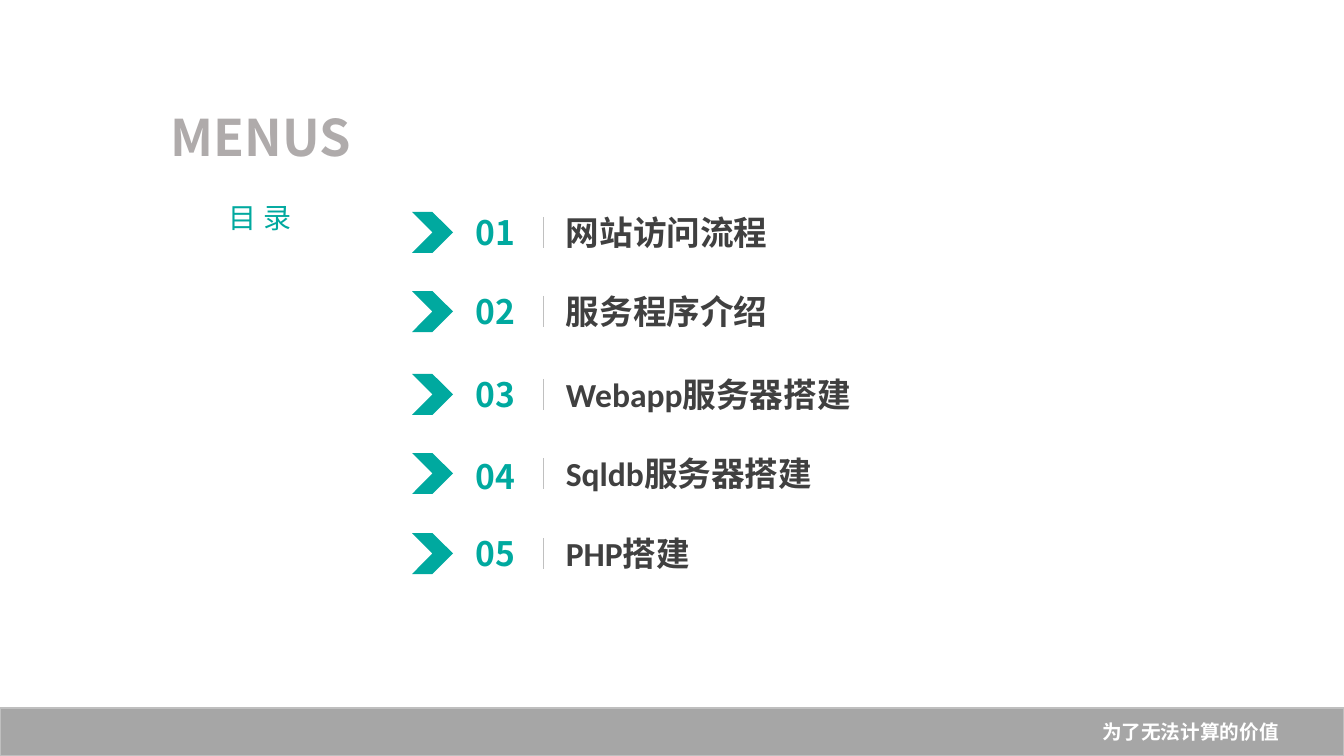
from lxml import etree
from pptx import Presentation
from pptx.dml.color import RGBColor
from pptx.enum.shapes import MSO_CONNECTOR, MSO_SHAPE
from pptx.enum.text import MSO_ANCHOR, PP_ALIGN
from pptx.oxml.ns import qn
from pptx.util import Pt

PX = 914400 / 100.8
WIDTH, HEIGHT = 1344, 756

TEAL = RGBColor(0x00, 0xA9, 0x9F)
DARK = RGBColor(0x40, 0x40, 0x40)
HEADING_GRAY = RGBColor(0xAF, 0xAB, 0xAB)
BAR_GRAY = RGBColor(0xA6, 0xA6, 0xA6)
BAR_EDGE = RGBColor(0xBF, 0xBF, 0xBF)
DIVIDER = RGBColor(0xC0, 0xC0, 0xC0)
WHITE = RGBColor(0xFF, 0xFF, 0xFF)

CJK = "Noto Sans CJK SC"
LATIN = "Calibri"

# Top of each entry, its label, and how far its number sits below the label
ENTRIES = [
    (192, "网站访问流程", 0),
    (271, "服务程序介绍", 0),
    (354, "Webapp服务器搭建", 0),
    (433, "Sqldb服务器搭建", 3),
    (513, "PHP搭建", 0),
]


def emu(*lengths):
    return [round(length * PX) for length in lengths]


def write(shape, text, size, color, font=CJK, bold=True,
          align=PP_ALIGN.CENTER, line_spacing=None):
    frame = shape.text_frame
    frame.word_wrap = True
    frame.vertical_anchor = MSO_ANCHOR.MIDDLE
    para = frame.paragraphs[0]
    para.alignment = align
    para.line_spacing = line_spacing
    span = para.add_run()
    span.text = text
    span.font.size = Pt(size)
    span.font.bold = bold
    span.font.name = font
    span.font.color.rgb = color
    east_asian = etree.SubElement(span.font._element, qn("a:ea"))
    east_asian.set("typeface", CJK)


def add_text(page, box, text, **style):
    write(page.shapes.add_textbox(*emu(*box)), text, **style)


def add_block(page, kind, box, fill):
    block = page.shapes.add_shape(kind, *emu(*box))
    block.shadow.inherit = False
    block.fill.solid()
    block.fill.fore_color.rgb = fill
    block.line.fill.background()
    return block


def add_divider(page, x, top, height):
    divider = page.shapes.add_connector(
        MSO_CONNECTOR.STRAIGHT, *emu(x, top, x, top + height))
    divider.line.color.rgb = DIVIDER
    divider.line.width = Pt(0.5)
    etree.SubElement(divider._element.spPr, qn("a:effectLst"))


def add_heading(page, left, top):
    add_text(page, (left, top, 369, 85), "MENUS", size=36, color=HEADING_GRAY)
    add_text(page, (left + 79, top + 77, 210, 96), "目 录", size=20,
             color=TEAL, bold=False, line_spacing=0.9)


def add_entry(page, left, top, number, label, number_drop):
    add_block(page, MSO_SHAPE.CHEVRON, (left, top + 20, 41, 41), TEAL)
    add_text(page, (left + 41, top + number_drop, 85, 80), f"{number:02}",
             size=24, color=TEAL)
    add_divider(page, left + 131, top + 25, 31)
    add_text(page, (left + 144, top, 442, 80), label, size=24, color=DARK,
             font=LATIN, align=PP_ALIGN.LEFT)


def add_footer(page, left, top, width, height):
    bar = add_block(page, MSO_SHAPE.RECTANGLE, (left, top, width, height),
                    BAR_GRAY)
    bar.line.color.rgb = BAR_EDGE
    bar.line.width = Pt(1)
    bar.text_frame.margin_right = emu(65)[0]
    write(bar, "为了无法计算的价值", size=14, color=WHITE, font=LATIN,
          align=PP_ALIGN.RIGHT)


def main():
    deck = Presentation()
    deck.slide_width, deck.slide_height = emu(WIDTH, HEIGHT)
    page = deck.slides.add_slide(deck.slide_layouts[6])
    add_heading(page, 76, 94)
    for number, (top, label, number_drop) in enumerate(ENTRIES, 1):
        add_entry(page, 412, top, number, label, number_drop)
    add_footer(page, 0, 708, WIDTH, HEIGHT - 708)
    deck.save("out.pptx")


if __name__ == "__main__":
    main()
